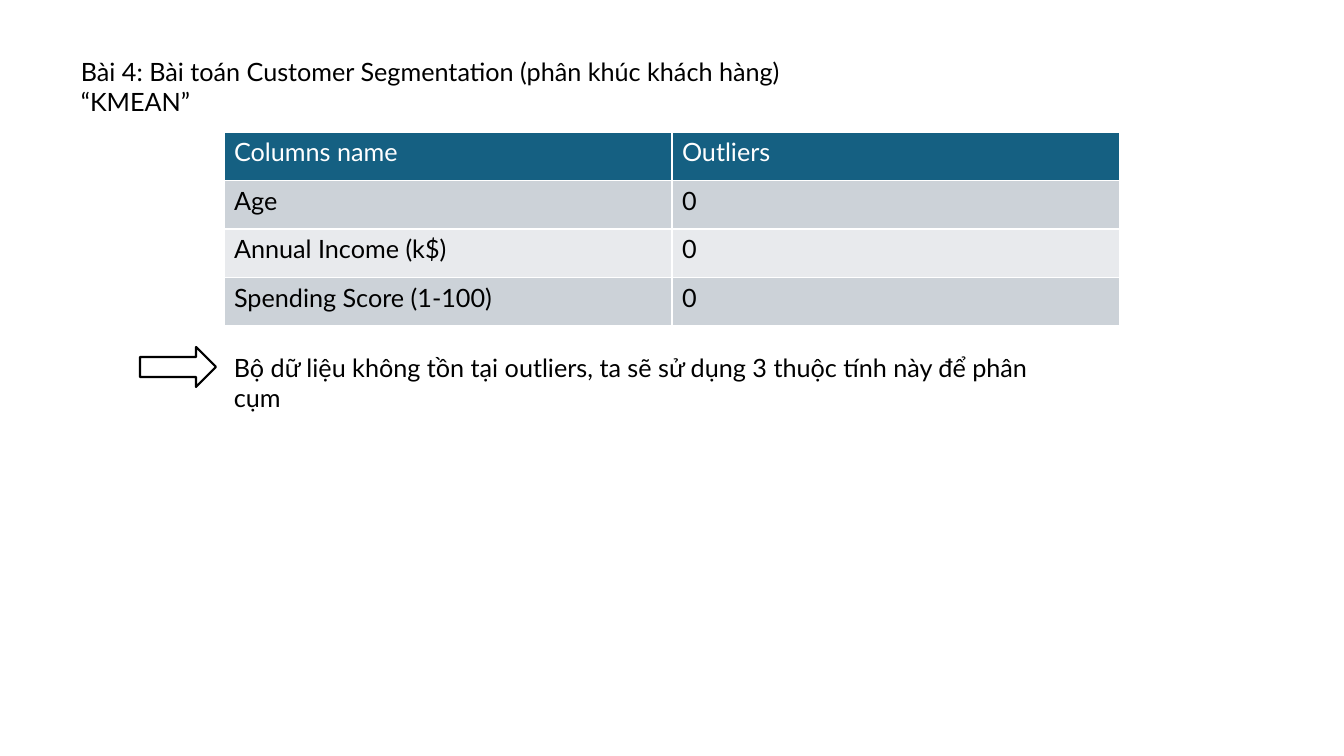
from dataclasses import dataclass

from lxml import etree
from pptx import Presentation
from pptx import util as u
from pptx.dml.color import RGBColor
from pptx.enum import shapes, text
from pptx.oxml import ns


@dataclass(frozen=True)
class Theme:
    font: str = "Lato"
    size: int = 18
    ink: str = "000000"
    paper: str = "FFFFFF"
    header: str = "156082"
    bands: tuple = ("CCD2D8", "E8EAED")
    border_width: float = 1
    outline_width: float = 1.5


def px(count):
    return u.Emu(round(count * 914400 / 100.8))


def write(frame, wording, *, font, size, color):
    paragraph = frame.paragraphs[0]
    paragraph.alignment = text.PP_ALIGN.LEFT
    run = paragraph.add_run()
    run.text = wording
    run.font.name = font
    run.font.size = u.Pt(size)
    run.font.bold = False
    run.font.color.rgb = RGBColor.from_string(color)


class SlideBuilder:
    def __init__(self, slide, theme):
        self.slide = slide
        self.theme = theme

    def put_text(self, frame, wording, color):
        write(frame, wording, font=self.theme.font, size=self.theme.size, color=color)

    def label(self, wording, left, top, width, height):
        box = self.slide.shapes.add_textbox(px(left), px(top), px(width), px(height))
        box.text_frame.word_wrap = True
        box.text_frame.vertical_anchor = text.MSO_ANCHOR.TOP
        self.put_text(box.text_frame, wording, self.theme.ink)

    def arrow(self, left, top, width, height):
        arrow = self.slide.shapes.add_shape(
            shapes.MSO_SHAPE.RIGHT_ARROW, px(left), px(top), px(width), px(height))
        arrow.shadow.inherit = False
        arrow.fill.solid()
        arrow.fill.fore_color.rgb = RGBColor.from_string(self.theme.paper)
        arrow.line.color.rgb = RGBColor.from_string(self.theme.ink)
        arrow.line.width = u.Pt(self.theme.outline_width)

    def borders(self, cell):
        properties = cell._tc.get_or_add_tcPr()
        for side in ("a:lnL", "a:lnR", "a:lnT", "a:lnB"):
            edge = etree.SubElement(
                properties, ns.qn(side), w=str(u.Pt(self.theme.border_width)))
            paint = etree.SubElement(edge, ns.qn("a:solidFill"))
            etree.SubElement(paint, ns.qn("a:srgbClr"), val=self.theme.paper)

    def table(self, rows, left, top, width, height):
        grid = self.slide.shapes.add_table(
            len(rows), len(rows[0]), px(left), px(top), px(width), px(height)).table
        for r, row in enumerate(rows):
            is_header = r == 0
            fill = self.theme.header if is_header else self.theme.bands[(r - 1) % 2]
            ink = self.theme.paper if is_header else self.theme.ink
            for c, wording in enumerate(row):
                cell = grid.cell(r, c)
                self.borders(cell)
                cell.fill.solid()
                cell.fill.fore_color.rgb = RGBColor.from_string(fill)
                self.put_text(cell.text_frame, wording, ink)


def main():
    deck = Presentation()
    deck.slide_width, deck.slide_height = px(1344), px(756)
    builder = SlideBuilder(deck.slides.add_slide(deck.slide_layouts[6]), Theme())

    builder.label(
        "Bài 4: Bài toán Customer Segmentation (phân khúc khách hàng) “KMEAN”",
        71, 51, 828, 40)
    outlier_counts = [
        ("Columns name", "Outliers"),
        ("Age", "0"),
        ("Annual Income (k$)", "0"),
        ("Spending Score (1-100)", "0"),
    ]
    builder.table(outlier_counts, 224, 132, 896, 194)
    builder.label(
        "Bộ dữ liệu không tồn tại outliers, ta sẽ sử dụng 3 thuộc tính này để phân cụm",
        224, 347, 849, 40)
    builder.arrow(140, 347, 76, 40)

    deck.save("out.pptx")


if __name__ == "__main__":
    main()
